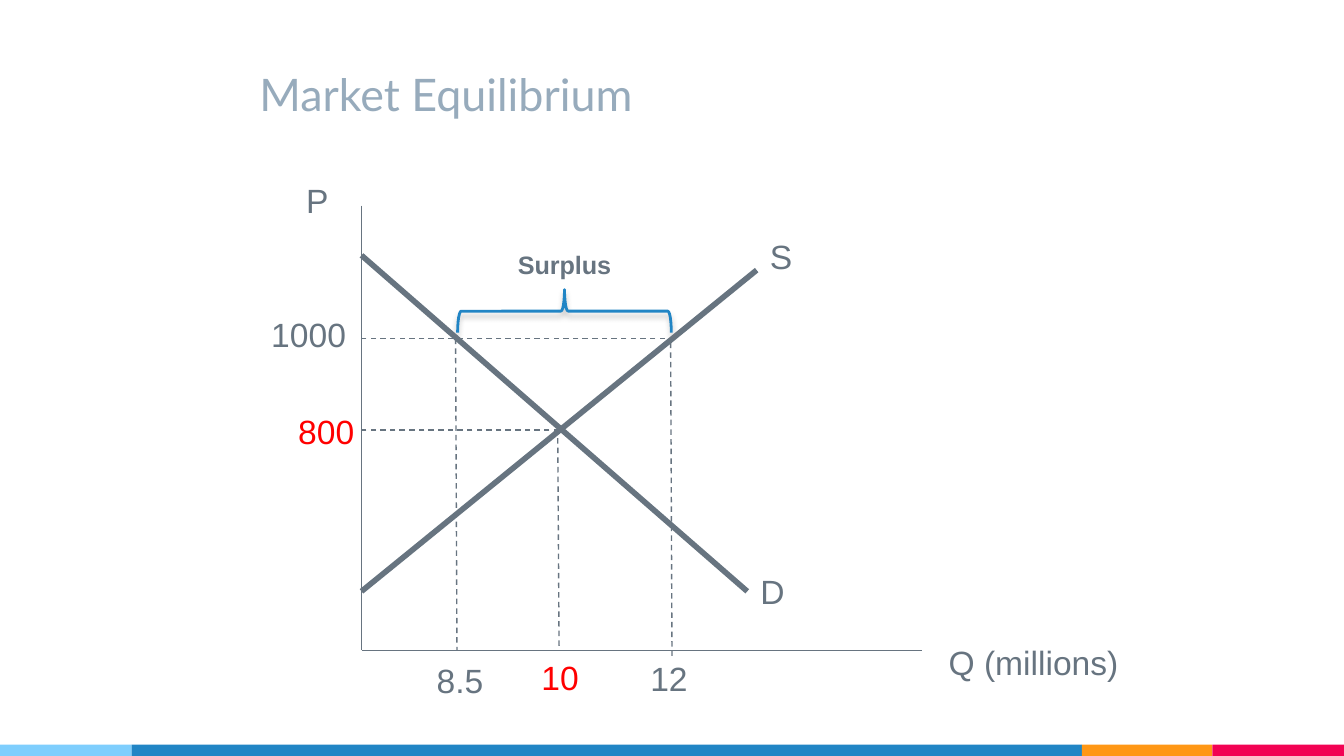
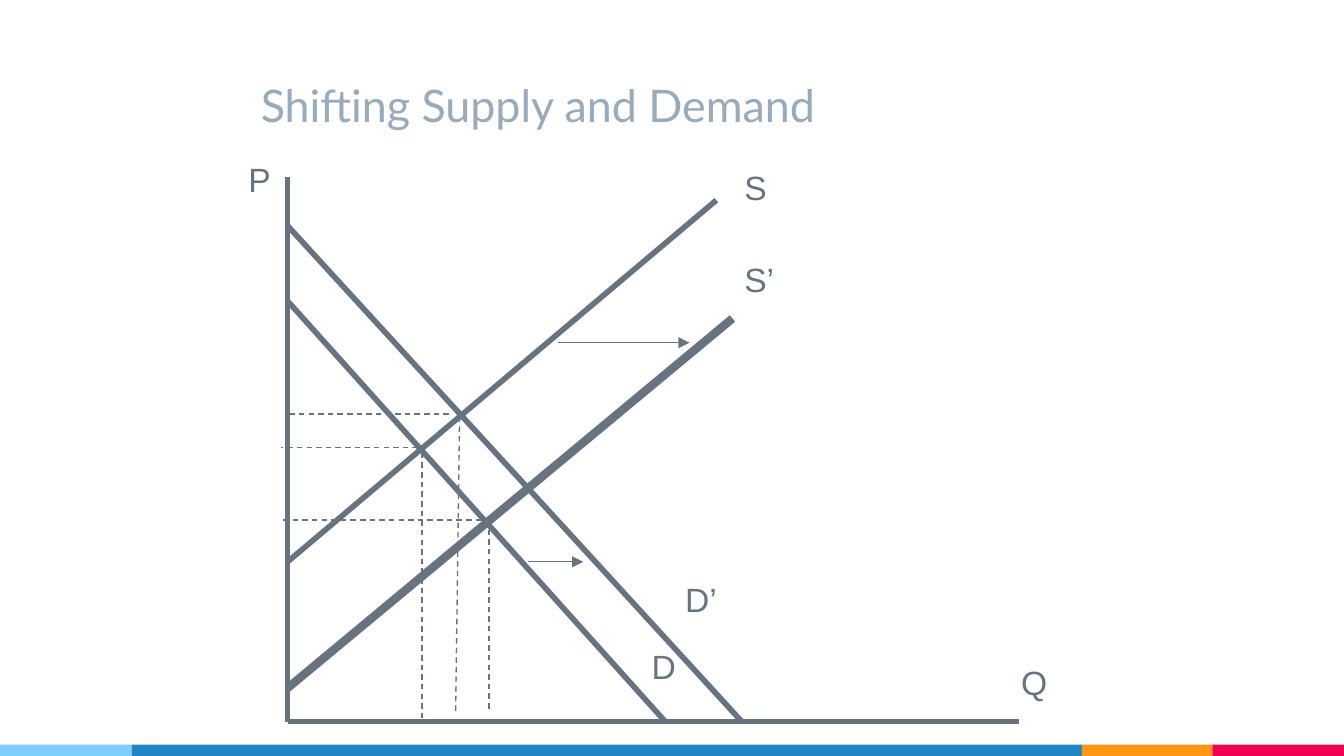
import pptx
import pptx.util
import pptx.dml.color
import pptx.enum.dml
import pptx.enum.shapes
import pptx.enum.text
import pptx.oxml
import pptx.oxml.ns
import lxml.etree

Pt = pptx.util.Pt
RGBColor = pptx.dml.color.RGBColor
MSO_SHAPE = pptx.enum.shapes.MSO_SHAPE
PP_ALIGN = pptx.enum.text.PP_ALIGN
MSO_AUTO_SIZE = pptx.enum.text.MSO_AUTO_SIZE
qn = pptx.oxml.ns.qn

SKY = RGBColor(0x7E, 0xCE, 0xFD)
BLUE = RGBColor(0x21, 0x85, 0xC5)
ORANGE = RGBColor(0xFF, 0x97, 0x15)
PINK = RGBColor(0xF2, 0x02, 0x53)
SLATE = RGBColor(0x67, 0x74, 0x80)
MIST = RGBColor(0x97, 0xAB, 0xBC)
RED = RGBColor(0xFF, 0x00, 0x00)

WIDTH = pptx.util.Inches(10)
HEIGHT = pptx.util.Inches(5.625)
COLUMNS = 100
CELL = WIDTH // COLUMNS
ROWS = HEIGHT / CELL
LABEL_ROWS = 4
THIN, BOLD, HEAVY = 0.75, 3, 4.5


def cells(n):
    """Turn a number of grid cells into a length."""
    return pptx.util.Emu(round(n * CELL))


def write(tf, text, font, size, color, bold=False, align=PP_ALIGN.LEFT):
    """Add one formatted run to the first paragraph of a text frame."""
    p = tf.paragraphs[0]
    p.alignment = align
    r = p.add_run()
    r.text = text
    r.font.name = font
    r.font.size = Pt(size)
    r.font.bold = bold
    r.font.color.rgb = color


def add_bands(prs, s):
    """Put the coloured footer bands on the slide master."""
    edges = (0, 9.8, 80.5, 90.2, COLUMNS)
    colors = (SKY, BLUE, ORANGE, PINK)
    depth = 0.85
    for i, (left, right, color) in enumerate(zip(edges, edges[1:], colors)):
        sp = s.shapes.add_shape(MSO_SHAPE.RECTANGLE, cells(left), cells(ROWS - depth),
                                cells(right - left), cells(depth))
        sp.shadow.inherit = False
        sp.fill.solid()
        sp.fill.fore_color.rgb = color
        sp.line.fill.background()
        sp.element.find(".//" + qn("p:cNvPr")).set("id", str(100 + i))
        prs.slide_master.shapes.element.append(sp.element)


def add_title(s, text, box):
    """Fill and place the title placeholder."""
    sp = s.shapes.title
    sp.left, sp.top, sp.width, sp.height = map(cells, box)
    tf = sp.text_frame
    tf.margin_left = tf.margin_right = tf.margin_top = tf.margin_bottom = cells(1)
    tf.vertical_anchor = pptx.enum.text.MSO_ANCHOR.BOTTOM
    tf.word_wrap = True
    tf.auto_size = MSO_AUTO_SIZE.NONE
    write(tf, text, "Lato", 24, MIST)


class Plot:
    """Price and quantity axes whose points count cells right and up from the origin."""

    def __init__(self, s, box, axis_weight):
        """Draw both axes along the left and bottom of the box."""
        self.s = s
        left, top, width, height = box
        self.left, self.bottom = left, top + height
        self.line((0, height), (0, 0), axis_weight)
        self.line((0, 0), (width, 0), axis_weight)

    def at(self, point):
        """Give the place on the slide of a point of the plot."""
        x, y = point
        return cells(self.left + x), cells(self.bottom - y)

    def line(self, start, end, weight=THIN, dashed=False, arrow=False):
        """Draw a straight line, dashed or with an arrowhead if asked."""
        c = self.s.shapes.add_connector(pptx.enum.shapes.MSO_CONNECTOR.STRAIGHT,
                                        *self.at(start), *self.at(end))
        c.line.color.rgb = SLATE
        c.line.width = Pt(weight)
        if dashed:
            c.line.dash_style = pptx.enum.dml.MSO_LINE.DASH
        if arrow:
            ln = c.line._get_or_add_ln()
            lxml.etree.SubElement(ln, qn("a:tailEnd")).set("type", "triangle")
        lxml.etree.SubElement(c.element.spPr, qn("a:effectLst"))

    def guides(self, *pairs):
        """Draw dashed guide lines."""
        for start, end in pairs:
            self.line(start, end, dashed=True)

    def label(self, text, corner, width, color=SLATE):
        """Write a one-line label from its top left corner."""
        sp = self.s.shapes.add_textbox(*self.at(corner), cells(width), cells(LABEL_ROWS))
        sp.text_frame.word_wrap = False
        sp.text_frame.auto_size = MSO_AUTO_SIZE.SHAPE_TO_FIT_TEXT
        write(sp.text_frame, text, "Arial", 18, color)

    def brace(self, text, center, span, depth):
        """Draw a brace opening downwards with a bold caption above it."""
        x, y = center
        sp = self.s.shapes.add_shape(MSO_SHAPE.LEFT_BRACE,
                                     *self.at((x - depth / 2, y + span / 2)),
                                     cells(depth), cells(span))
        sp.rotation = 90
        sp.adjustments[0] = 0.083
        sp.fill.background()
        sp.line.color.rgb = BLUE
        sp.line.width = Pt(1.5)
        sp.shadow.inherit = False
        effects = sp.element.spPr.find(qn("a:effectLst"))
        shadow = lxml.etree.SubElement(effects, qn("a:outerShdw"), blurRad=str(Pt(3)),
                                       dist=str(Pt(2.4)), dir="5400000", rotWithShape="0")
        tint = lxml.etree.SubElement(shadow, qn("a:srgbClr"), val="808080")
        lxml.etree.SubElement(tint, qn("a:alpha"), val="45000")
        width = 10.9
        cap = self.s.shapes.add_textbox(*self.at((x - width / 2, y + 5.05)),
                                        cells(width), cells(3.3))
        cap.text_frame.word_wrap = True
        cap.text_frame.auto_size = MSO_AUTO_SIZE.SHAPE_TO_FIT_TEXT
        write(cap.text_frame, text, "Arial", 13.5, SLATE, True, PP_ALIGN.CENTER)


def draw_equilibrium(s, box):
    """Draw the market equilibrium with a surplus above it."""
    plot = Plot(s, box, THIN)
    plot.line((0, 29.4), (28.7, 4.4), BOLD)
    plot.line((0, 4.4), (29.4, 28.3), BOLD)
    plot.guides(((14.6, 15.8), (14.7, 0.1)), ((14.7, 16.4), (0, 16.4)),
                ((23.3, 23.2), (0, 23.2)), ((7, 23.2), (7.1, 0)),
                ((23, 22.9), (23.1, -0.4)))
    for text, corner, width in (("P", (-5.1, 35.5), 3.7),
                                ("Q (millions)", (42.7, 1.1), 14.8),
                                ("1000", (-7.7, 25.5), 7.6),
                                ("D", (28.7, 6.4), 3.8),
                                ("S", (29.4, 31.3), 3.7),
                                ("12", (20.5, -0.1), 4.8),
                                ("8.5", (4.6, -0.2), 5.5)):
        plot.label(text, corner, width)
    plot.label("10", (12.4, 0), 4.8, RED)
    plot.label("800", (-5.7, 18.3), 6.2, RED)
    plot.brace("Surplus", (15.1, 25.25), 15.9, 3.2)


def draw_shifts(s, box):
    """Draw supply and demand, each shifted to the right."""
    plot = Plot(s, box, BOLD)
    for start, end, weight in (((0, 31.3), (28.1, 0), BOLD),
                               ((0, 11.9), (31.9, 38.8), BOLD),
                               ((0, 2.5), (33.1, 30), HEAVY),
                               ((0, 36.9), (33.8, 0), BOLD)):
        plot.line(start, end, weight)
    plot.guides(((9.7, 20.4), (-0.5, 20.4)), ((10, 20), (10, 0)),
                ((12, 22.9), (0.2, 22.9)), ((12.8, 22.7), (12.5, 0.5)),
                ((14.4, 15), (-0.6, 15)), ((15, 15), (15, 0.7)))
    plot.line((20.1, 28.2), (29.9, 28.2), arrow=True)
    plot.line((17.9, 11.9), (22, 11.9), arrow=True)
    for text, corner, width in (("P", (-3.9, 42.4), 3.7),
                                ("Q", (53.6, 4.9), 4),
                                ("D", (26.1, 6.1), 3.8),
                                ("S", (33, 41.8), 3.7),
                                ("S’", (33, 34.9), 4.3),
                                ("D’", (28.6, 11.1), 4.4)):
        plot.label(text, corner, width)


def main():
    """Build and save the presentation."""
    prs = pptx.Presentation()
    prs.slide_width, prs.slide_height = WIDTH, HEIGHT
    layout = prs.slide_layouts.get_by_name("Title Only")
    s = prs.slides.add_slide(layout)
    add_bands(prs, s)
    add_title(s, "Market Equilibrium", (18.3, 1.9, 66, 8.1))
    draw_equilibrium(s, (26.9, 15.3, 41.7, 33.1))
    s = prs.slides.add_slide(layout)
    add_title(s, "Shifting Supply and Demand", (18.4, 2, 63.8, 8.8))
    draw_shifts(s, (21.4, 13.2, 54.4, 40.5))
    prs.save("out.pptx")


main()
